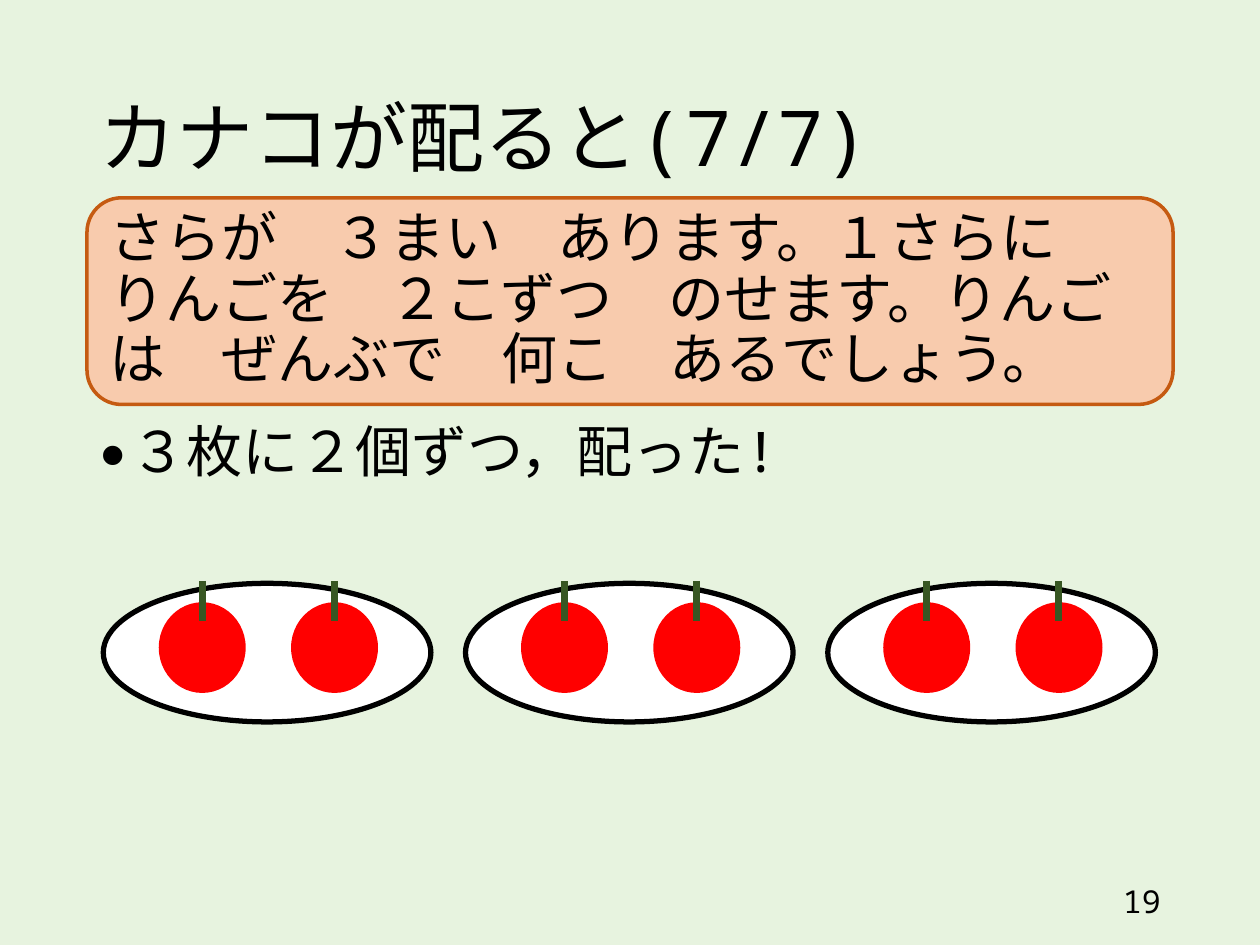
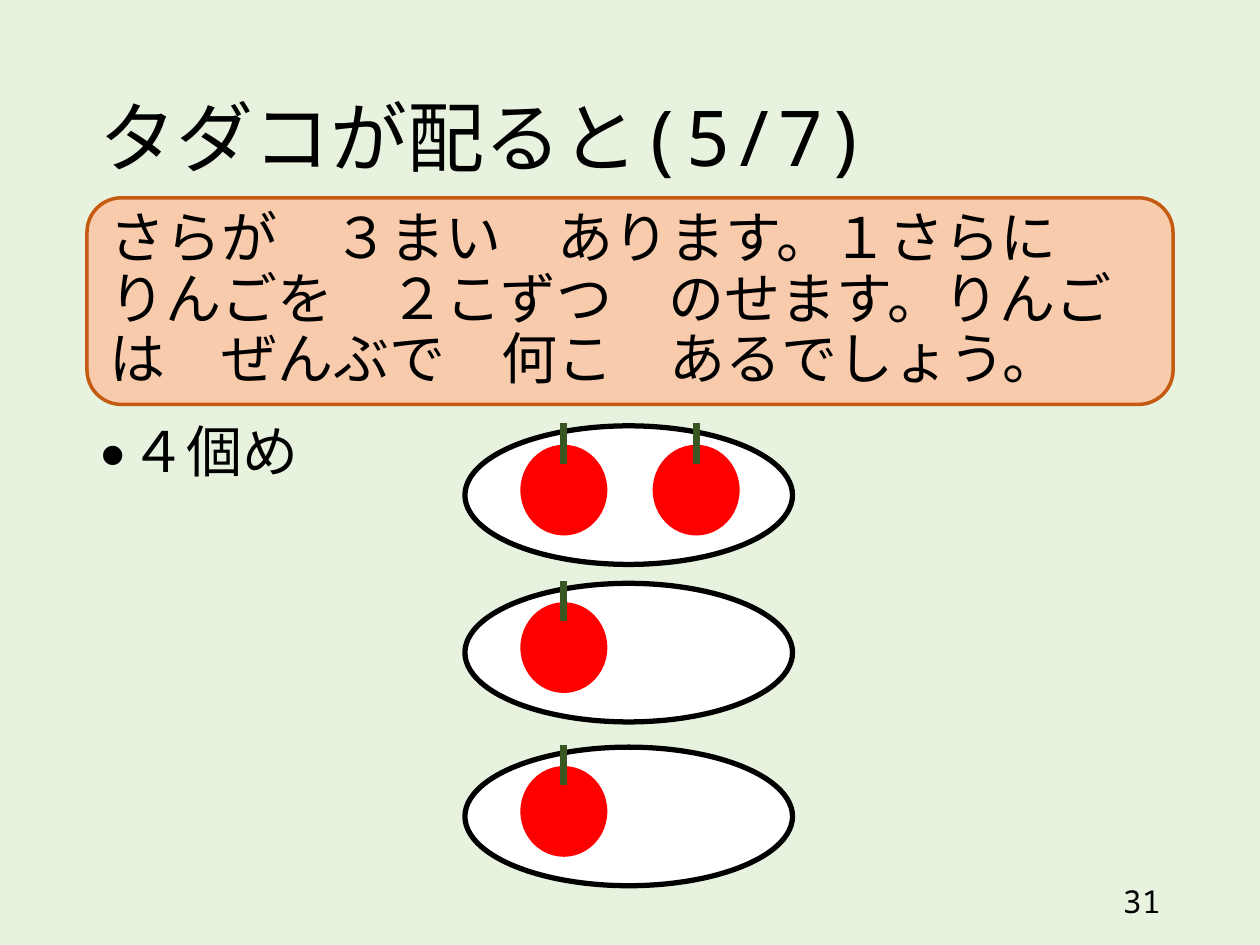
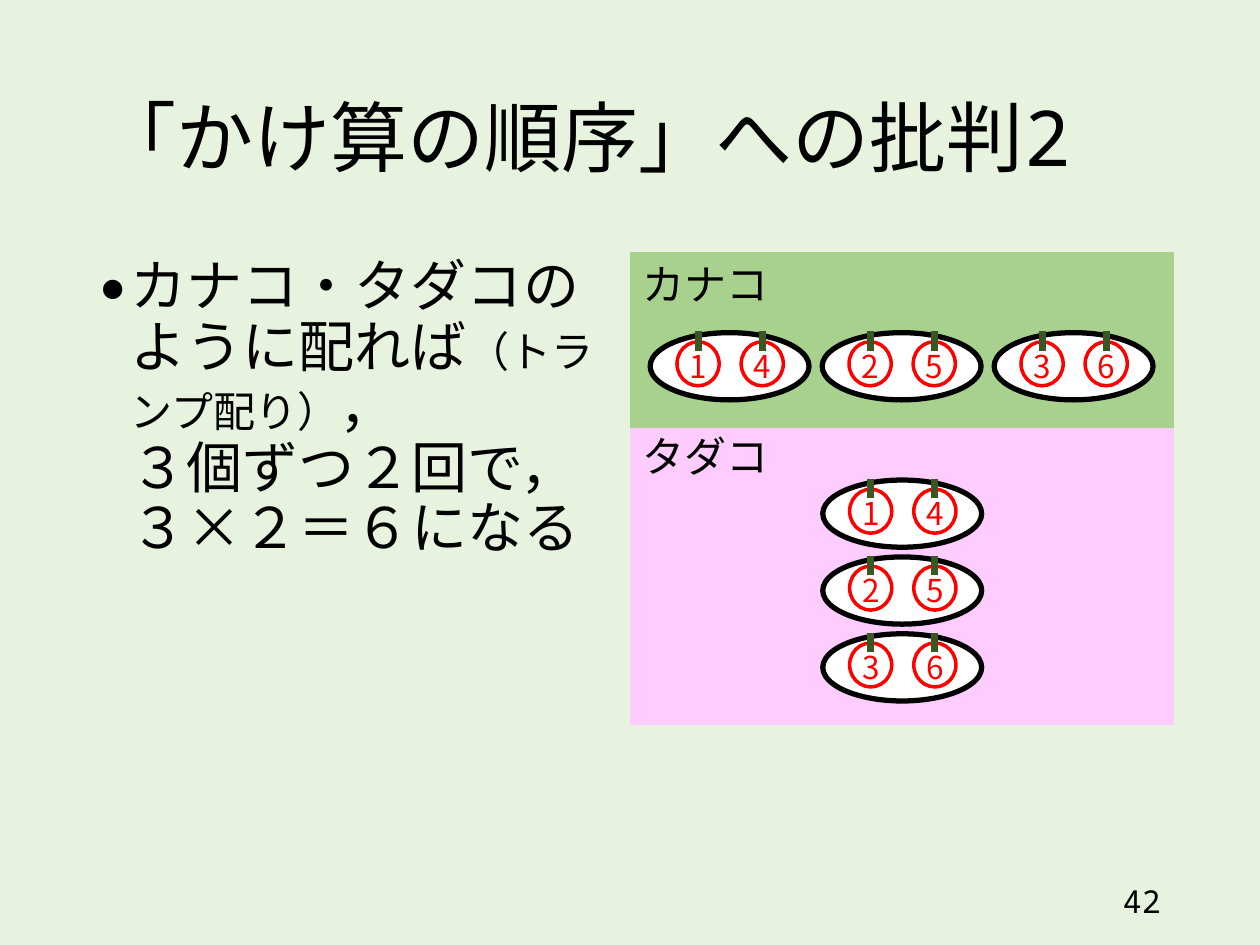
import pptx
import pptx.dml.color
import pptx.enum.shapes
import pptx.enum.text
import pptx.oxml
import pptx.oxml.ns
import pptx.util
from pptx.util import Inches

MONO, CJK = "Noto Sans Mono", "Noto Sans CJK JP"
BACKGROUND, BLACK, WHITE = "E7F3DF", "000000", "FFFFFF"
RED, STEM = "FF0000", "385723"
PROBLEM_FILL, PROBLEM_LINE = "F8CBAD", "C55A11"
GREEN, PINK = "A9D18E", "FFCCFF"

LEFT, WIDTH = 0.69, 8.62
TITLE_BOX = (LEFT, 0.4, WIDTH, 1.45)
NUMBER_BOX = (7.06, 6.95, 2.25, 0.4)
PROBLEM_BOX = (LEFT, 1.57, WIDTH, 1.64)
SHORT_BODY = (LEFT, 3.32, WIDTH, 3.43)
TALL_BODY = (LEFT, 2, WIDTH, 4.76)

PROBLEM = ("さらが　３まい　あります。１さらに　りんごを　２こずつ　のせます。"
           "りんごは　ぜんぶで　何こ　あるでしょう。")

PLATE_SIZE = (2.6, 1.1)
APPLE_SIZE = (0.69, 0.72)
APPLE_LEFTS, APPLE_TOP = (0.44, 1.49), 0.15
STEM_TOP, STEM_BOTTOM = -0.02, 0.3
SMALL = 0.485

# A run is (text, font) or (text, font, size).
SLIDES = [
    {"title": "カナコが配ると(7/7)", "number": 19, "problem": True,
     "body_box": SHORT_BODY,
     "body": [("３", CJK), ("枚に", MONO), ("２", CJK), ("個ずつ，配った!", MONO)],
     "plates": [(0.82 + 2.875 * column, 4.63, ["", ""]) for column in range(3)]},
    {"title": "タダコが配ると(5/7)", "number": 31, "problem": True,
     "body_box": SHORT_BODY,
     "body": [("４", CJK), ("個め", MONO)],
     "plates": [(3.69, 5.93, [""]), (3.69, 4.63, [""]), (3.69, 3.38, ["", ""])]},
    {"title": "「かけ算の順序」への批判2", "number": 42,
     "body_box": TALL_BODY,
     "body": [("カナコ・タダコの\nように配れば", MONO), ("（トラ\nンプ配り）", MONO, 24),
              ("，\n", MONO), ("３", CJK), ("個ずつ", MONO), ("２", CJK),
              ("回で，\n", MONO), ("３×２＝６", CJK), ("になる", MONO)],
     "panels": [("タダコ", (5, 3.37, 4.31, 2.38), PINK),
                ("カナコ", (5, 2, 4.31, 1.39), GREEN)],
     "scale": SMALL,
     "plates": [(6.53, 3.81 + 0.61 * i, [str(i + 1), str(i + 4)]) for i in range(3)]
             + [(5.16 + 1.365 * i, 2.64, [str(i + 1), str(i + 4)]) for i in range(3)]},
]


def color(value):
    return pptx.dml.color.RGBColor.from_string(value)


def append_xml(parent, tag, **attributes):
    child = pptx.oxml.parse_xml(f"<a:{tag} {pptx.oxml.ns.nsdecls('a')}/>")
    for name, value in attributes.items():
        child.set(name, value)
    parent.append(child)


def add_run(paragraph, text, font, size, ink):
    run = paragraph.add_run()
    run.text = text
    run.font.name = font
    run.font.size = pptx.util.Pt(size)
    run.font.color.rgb = color(ink)
    run.font.language_id = pptx.enum.lang.MSO_LANGUAGE_ID.JAPANESE
    append_xml(run.font._element, "ea", typeface=font)


def write(shape, text, size=32, font=MONO, ink=BLACK, align="LEFT", anchor="TOP",
          spacing=None, before=0, bullet=False, wrap=True):
    """Fill a shape with one paragraph, given as a string or a list of runs."""
    frame = shape.text_frame
    frame.word_wrap = wrap
    frame.vertical_anchor = pptx.enum.text.MSO_ANCHOR[anchor]
    paragraph = frame.paragraphs[0]
    paragraph.alignment = pptx.enum.text.PP_ALIGN[align]
    paragraph.line_spacing = spacing
    paragraph.space_before = pptx.util.Pt(before)
    if bullet:
        properties = paragraph._p.get_or_add_pPr()
        properties.set("marL", str(Inches(0.25)))
        properties.set("indent", str(Inches(-0.25)))
        append_xml(properties, "buSzPct", val="80000")
        append_xml(properties, "buFont", typeface=MONO)
        append_xml(properties, "buChar", char="●")
    for part, name, *own_size in [(text, font)] if isinstance(text, str) else text:
        for index, line in enumerate(part.split("\n")):
            if index:
                paragraph.add_line_break()
            if line:
                add_run(paragraph, line, name, own_size[0] if own_size else size, ink)


def add_text(slide, box, text, **style):
    write(slide.shapes.add_textbox(*map(Inches, box)), text, **style)


def add_shape(slide, kind, box, fill=None, line=None, weight=1):
    preset = pptx.enum.shapes.MSO_SHAPE[kind]
    shape = slide.shapes.add_shape(preset, *map(Inches, box))
    shape.shadow.inherit = False
    if fill:
        shape.fill.solid()
        shape.fill.fore_color.rgb = color(fill)
    else:
        shape.fill.background()
    if line:
        shape.line.color.rgb = color(line)
        shape.line.width = pptx.util.Pt(weight)
    else:
        shape.line.fill.background()
    return shape


def add_stem(slide, x, top, bottom):
    stem = slide.shapes.add_connector(pptx.enum.shapes.MSO_CONNECTOR.STRAIGHT,
                                      *map(Inches, (x, top, x, bottom)))
    stem.line.color.rgb = color(STEM)
    stem.line.width = pptx.util.Pt(4)
    append_xml(stem._element.spPr, "effectLst")


def add_plate(slide, left, top, labels, scale):
    """Draw a plate with one apple per label; a labelled apple is an outline."""
    plate_width, plate_height = (side * scale for side in PLATE_SIZE)
    apple_width, apple_height = (side * scale for side in APPLE_SIZE)
    add_shape(slide, "OVAL", (left, top, plate_width, plate_height), WHITE, BLACK, 3)
    for label, offset in zip(labels, APPLE_LEFTS):
        x, y = left + offset * scale, top + APPLE_TOP * scale
        style = {"line": RED, "weight": 2} if label else {"fill": RED}
        add_shape(slide, "OVAL", (x, y, apple_width, apple_height), **style)
        add_stem(slide, x + apple_width / 2, top + STEM_TOP * scale,
                 top + STEM_BOTTOM * scale)
        if label:
            add_text(slide, (x, y - 0.01, apple_width, 0.4), label, size=18,
                     font=CJK, ink=RED, align="CENTER", wrap=False)


def build_slide(presentation, content):
    slide = presentation.slides.add_slide(presentation.slide_layouts[6])
    slide.background.fill.solid()
    slide.background.fill.fore_color.rgb = color(BACKGROUND)
    add_text(slide, TITLE_BOX, content["title"], size=44, anchor="MIDDLE", spacing=0.9)
    add_text(slide, content["body_box"], content["body"], spacing=0.9, before=10,
             bullet=True)
    add_text(slide, NUMBER_BOX, str(content["number"]), size=18, align="RIGHT",
             anchor="MIDDLE")
    for name, box, fill in content.get("panels", []):
        add_shape(slide, "RECTANGLE", box, fill, fill, 0.5)
        add_text(slide, (*box[:2], 1.21, 0.5), name, size=24, wrap=False)
    for left, top, labels in content["plates"]:
        add_plate(slide, left, top, labels, content.get("scale", 1))
    if content.get("problem"):
        problem = add_shape(slide, "ROUNDED_RECTANGLE", PROBLEM_BOX, PROBLEM_FILL,
                            PROBLEM_LINE, 2)
        write(problem, PROBLEM, font=CJK, anchor="MIDDLE", spacing=0.9, before=10)


def main():
    presentation = pptx.Presentation()
    presentation.slide_width, presentation.slide_height = Inches(10), Inches(7.5)
    for content in SLIDES:
        build_slide(presentation, content)
    presentation.save("out.pptx")


if __name__ == "__main__":
    import pptx.enum.lang
    main()
